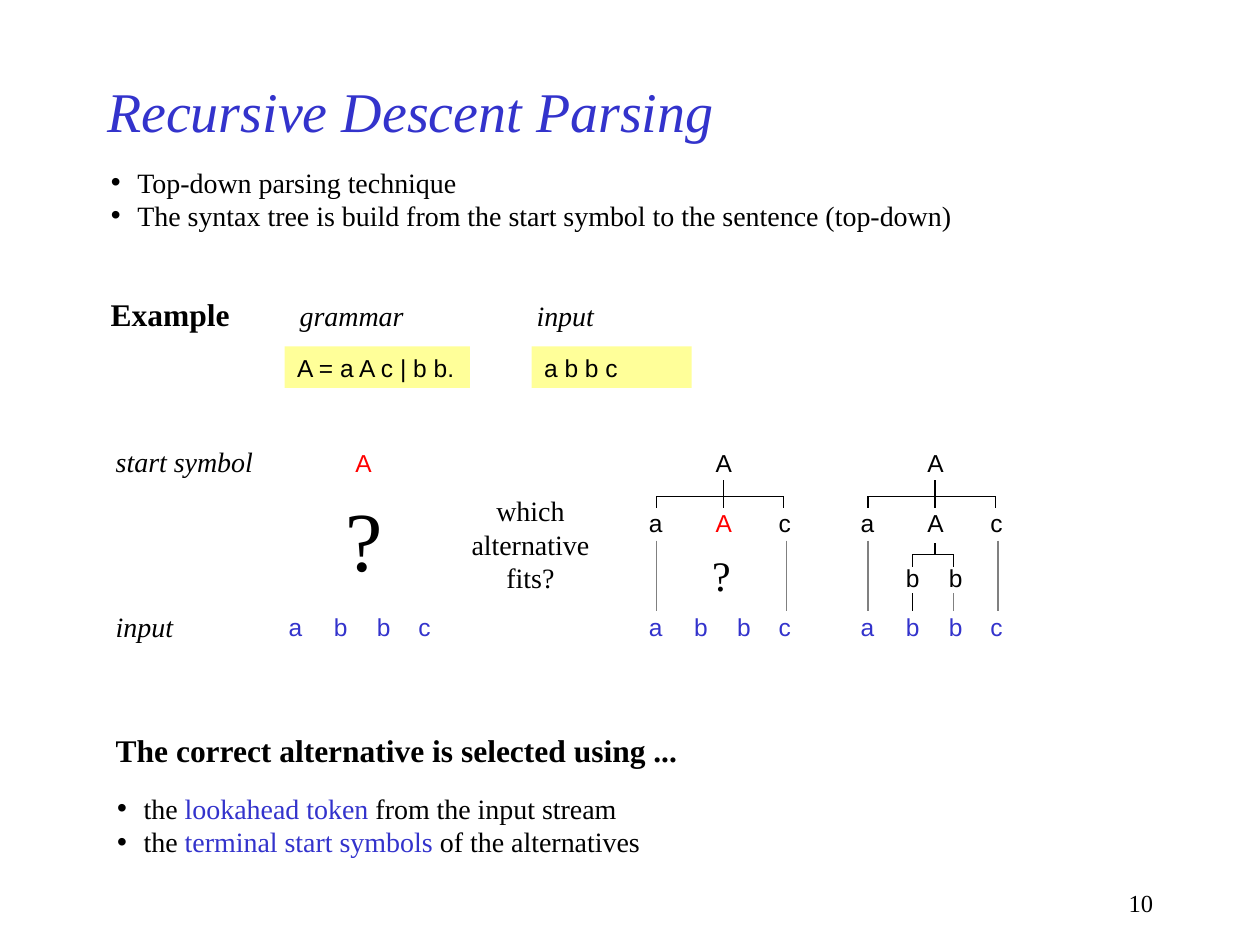
from pptx import Presentation
from pptx.dml.color import RGBColor
from pptx.enum.shapes import MSO_CONNECTOR, MSO_SHAPE
from pptx.enum.text import MSO_ANCHOR, MSO_AUTO_SIZE, PP_ALIGN
from pptx.oxml.ns import qn
from pptx.util import Inches, Pt
from lxml.etree import SubElement

BLACK = RGBColor(0x00, 0x00, 0x00)
BLUE = RGBColor(0x33, 0x33, 0xCC)
RED = RGBColor(0xFF, 0x00, 0x00)
GRAY = RGBColor(0x80, 0x80, 0x80)
YELLOW = RGBColor(0xFF, 0xFF, 0x99)
SERIF, SANS = "Times New Roman", "Arial"

TITLE = "Recursive Descent Parsing"
LISTS = [
    ((0.78, 1.26, 6.91, 0.64), [
        [("Top-down parsing technique", BLACK)],
        [("The syntax tree is build from the start symbol to the sentence (top-down)", BLACK)],
    ]),
    ((0.83, 6.23, 4.37, 0.64), [
        [("the", BLACK), (" lookahead token", BLUE), (" from the input stream", BLACK)],
        [("the", BLACK), (" terminal start symbols", BLUE), (" of the alternatives", BLACK)],
    ]),
]
HEADINGS = [
    ("Example", (0.78, 2.29, 1.25, 0.4)),
    ("The correct alternative is selected using ...", (0.82, 5.75, 4.75, 0.4)),
]
LABELS = [
    ("grammar", (2.28, 2.32, 1.12, 0.37)),
    ("input", (4.16, 2.32, 0.75, 0.37)),
    ("start symbol", (0.82, 3.48, 1.38, 0.37)),
    ("input", (0.82, 4.79, 0.75, 0.37)),
]
CODE = [
    ("A = a A c | b b.", (2.26, 2.75, 1.47, 0.33)),
    ("a b b c", (4.22, 2.75, 1.27, 0.33)),
]
QUESTIONS = [
    ("?", (2.64, 3.82, 0.49, 0.9), 48),
    ("which\nalternative\nfits?", (3.64, 3.87, 1.14, 0.9), 16),
    ("?", (5.55, 4.31, 0.35, 0.5), 24),
]

START_ROW, FIRST_ROW, SECOND_ROW, INPUT_ROW = 3.56, 4.03, 4.47, 4.86
A_COLUMN = 0.53
INPUT = [("a", 0), ("b", 0.36), ("b", 0.7), ("c", 1.03)]
FIRST_LEVEL = [("a", 0), ("c", 1.03)]
SECOND_LEVEL = INPUT[1:3]
FIRST_LINES = [
    (0.06, 3.94, 0.06, 4.03, BLACK),
    (0.59, 3.81, 0.59, 4.03, BLACK),
    (1.07, 3.94, 1.07, 4.03, BLACK),
    (0.06, 3.94, 1.07, 3.94, BLACK),
    (0.06, 4.29, 0.06, 4.85, GRAY),
    (1.09, 4.29, 1.09, 4.85, GRAY),
]
SECOND_LINES = [
    (0.59, 4.31, 0.59, 4.4, BLACK),
    (0.41, 4.4, 0.74, 4.4, BLACK),
    (0.41, 4.4, 0.41, 4.5, BLACK),
    (0.74, 4.4, 0.74, 4.5, BLACK),
    (0.41, 4.71, 0.41, 4.85, BLACK),
    (0.74, 4.71, 0.74, 4.85, GRAY),
]
TREES = [(2.29, 0), (5.15, 1), (6.83, 2)]

deck = Presentation()
deck.slide_width, deck.slide_height = Inches(10), Inches(7.5)
page = deck.slides.add_slide(deck.slide_layouts[3])


def style(para, size, color=BLACK, font=SERIF, bold=False, italic=False, align=PP_ALIGN.LEFT):
    para.alignment = align
    para.font.size, para.font.name = Pt(size), font
    para.font.bold, para.font.italic = bold, italic
    para.font.color.rgb = color


def place(box, at):
    box.left, box.top, box.width, box.height = map(Inches, at)


def write(box, text, size, inset=True, **look):
    frame = box.text_frame
    frame.word_wrap = False
    frame.vertical_anchor = MSO_ANCHOR.TOP
    if not inset:
        frame.margin_left = frame.margin_right = 0
        frame.margin_top = frame.margin_bottom = 0
    frame.text = text
    for para in frame.paragraphs:
        style(para, size, **look)


def add_text(text, at, size, **look):
    box = page.shapes.add_textbox(*map(Inches, at))
    write(box, text, size, **look)
    return box


def add_symbol(symbol, left, top, color=BLACK):
    width = {"A": 0.13, "c": 0.1}.get(symbol, 0.11)
    add_text(symbol, (left, top, width, 0.23), 14, inset=False, font=SANS, color=color)


def add_line(x1, y1, x2, y2, color):
    line = page.shapes.add_connector(MSO_CONNECTOR.STRAIGHT, *map(Inches, (x1, y1, x2, y2)))
    line.line.color.rgb = color
    line.line.width = Pt(0.75)
    SubElement(line._element.spPr, qn("a:effectLst"))


def fill_list(box, at, items):
    place(box, at)
    frame = box.text_frame
    frame.auto_size = MSO_AUTO_SIZE.NONE
    frame.word_wrap = False
    for number, item in enumerate(items):
        para = frame.add_paragraph() if number else frame.paragraphs[0]
        style(para, 16)
        para.space_before = Pt(0)
        properties = para._p.get_or_add_pPr()
        properties.set("marL", str(Inches(0.21)))
        properties.set("indent", str(Inches(-0.21)))
        for text, color in item:
            span = para.add_run()
            span.text = text
            span.font.color.rgb = color


def add_tree(left, depth):
    add_symbol("A", left + A_COLUMN, START_ROW, BLACK if depth else RED)
    rows = [(INPUT, INPUT_ROW, BLUE)]
    lines = []
    if depth >= 1:
        add_symbol("A", left + A_COLUMN, FIRST_ROW, RED if depth == 1 else BLACK)
        rows.append((FIRST_LEVEL, FIRST_ROW, BLACK))
        lines += FIRST_LINES
    if depth == 2:
        rows.append((SECOND_LEVEL, SECOND_ROW, BLACK))
        lines += SECOND_LINES
    for symbols, top, color in rows:
        for symbol, offset in symbols:
            add_symbol(symbol, left + offset, top, color)
    for x1, y1, x2, y2, color in lines:
        add_line(left + x1, y1, left + x2, y2, color)


title = page.shapes.title
place(title, (0.75, 0.5, 7.5, 0.75))
write(title, TITLE, 32, color=BLUE, italic=True)
title.text_frame.vertical_anchor = MSO_ANCHOR.MIDDLE
title.text_frame.word_wrap = True

for index, (at, items) in enumerate(LISTS, start=1):
    fill_list(page.placeholders[index], at, items)
for text, at in HEADINGS:
    add_text(text, at, 18, bold=True)
for text, at in LABELS:
    add_text(text, at, 16, italic=True)
for text, at in CODE:
    box = page.shapes.add_shape(MSO_SHAPE.RECTANGLE, *map(Inches, at))
    box.shadow.inherit = False
    box.fill.solid()
    box.fill.fore_color.rgb = YELLOW
    box.line.fill.background()
    write(box, text, 14, font=SANS)
for text, at, size in QUESTIONS:
    add_text(text, at, size, align=PP_ALIGN.CENTER)
for left, depth in TREES:
    add_tree(left, depth)
number_box = add_text("10", (7.17, 7, 2.08, 0.33), 14, align=PP_ALIGN.RIGHT)
number_box.text_frame.word_wrap = True

deck.save("out.pptx")
